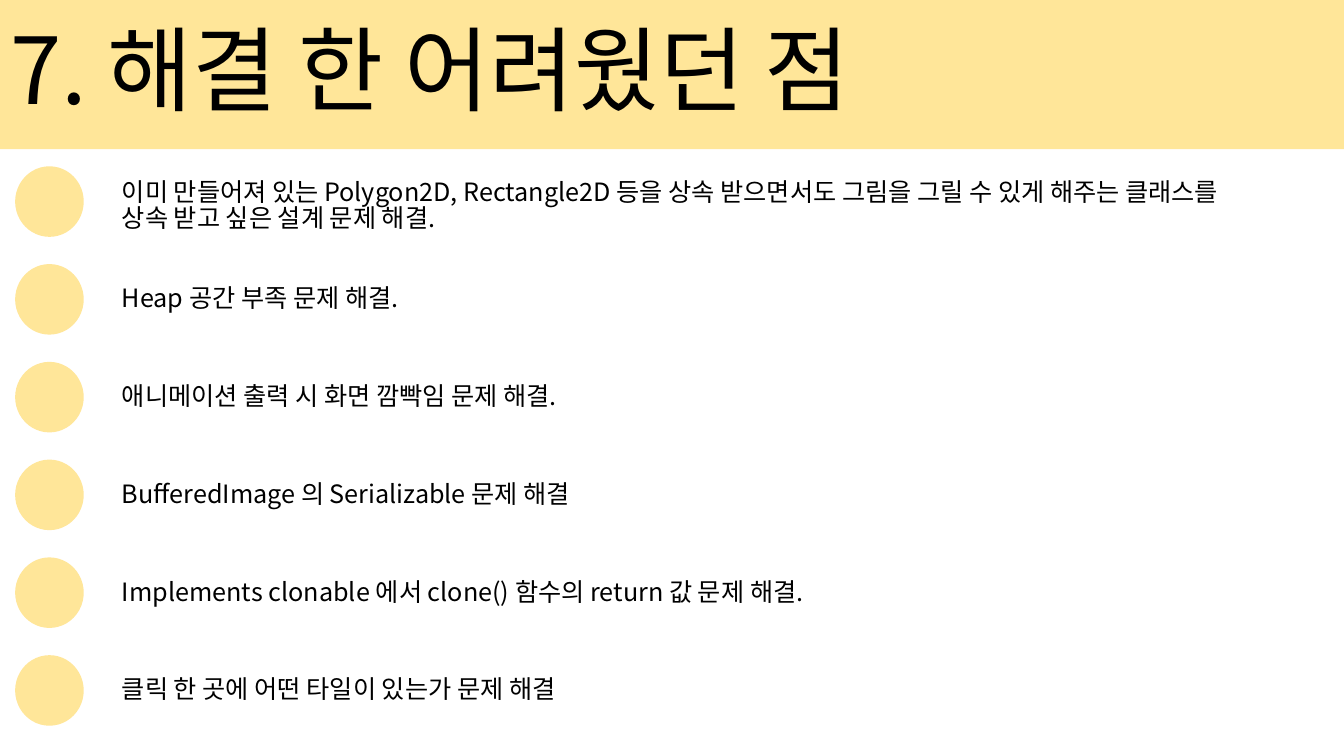
from pptx import Presentation
from pptx.dml.color import RGBColor
from pptx.enum.shapes import MSO_SHAPE as SHAPE
from pptx.enum.text import MSO_ANCHOR as ANCHOR, PP_ALIGN as ALIGN
from pptx.oxml.ns import qn
from pptx.util import Pt
from lxml import etree

FONT = "Noto Sans CJK KR"
YELLOW = RGBColor(0xFF, 0xE6, 0x99)
BLACK = RGBColor(0, 0, 0)

TITLE = "7. 해결 한 어려웠던 점"
PROBLEMS = [
    "이미 만들어져 있는 Polygon2D, Rectangle2D 등을 상속 받으면서도 그림을 그릴 수 있게 해주는 "
    "클래스를 상속 받고 싶은 설계 문제 해결.",
    "Heap 공간 부족 문제 해결.",
    "애니메이션 출력 시 화면 깜빡임 문제 해결.",
    "BufferedImage 의 Serializable 문제 해결",
    "Implements clonable 에서 clone() 함수의 return 값 문제 해결.",
    "클릭 한 곳에 어떤 타일이 있는가 문제 해결",
]
FIRST_TOP, PITCH = 118.8, 69.84


def write(tf, text, size, spacing):
    tf.word_wrap = True
    tf.vertical_anchor = ANCHOR.MIDDLE
    p = tf.paragraphs[0]
    p.alignment = ALIGN.LEFT
    p.line_spacing = spacing
    r = p.add_run()
    r.text = text
    r.font.size = Pt(size)
    r.font.name = FONT
    r.font.color.rgb = BLACK
    ea = etree.SubElement(r.font._element, qn("a:ea"))
    ea.set("typeface", FONT)


def add_title(s, width):
    sp = s.shapes.title
    sp.left, sp.top, sp.width, sp.height = Pt(0), Pt(0), width, Pt(106.6)
    sp.fill.solid()
    sp.fill.fore_color.rgb = YELLOW
    write(sp.text_frame, TITLE, 66, 0.9)


def add_bullet(s, top):
    sp = s.shapes.add_shape(SHAPE.OVAL, Pt(10.8), Pt(top), Pt(49), Pt(50.4))
    sp.shadow.inherit = False
    sp.fill.solid()
    sp.fill.fore_color.rgb = YELLOW
    sp.line.fill.background()


def add_problem(s, text, top, width, height):
    sp = s.shapes.add_textbox(Pt(80), Pt(top), Pt(width), Pt(height))
    write(sp.text_frame, text, 18, 0.85)


def main():
    prs = Presentation()
    prs.slide_width, prs.slide_height = Pt(960), Pt(540)
    s = prs.slides.add_slide(prs.slide_layouts[5])
    add_title(s, prs.slide_width)
    for i, text in enumerate(PROBLEMS):
        top = FIRST_TOP + i * PITCH
        width, height = (812, 44) if i == 0 else (623, 37.4)
        add_bullet(s, top)
        add_problem(s, text, top + 7, width, height)
    prs.save("out.pptx")


main()
